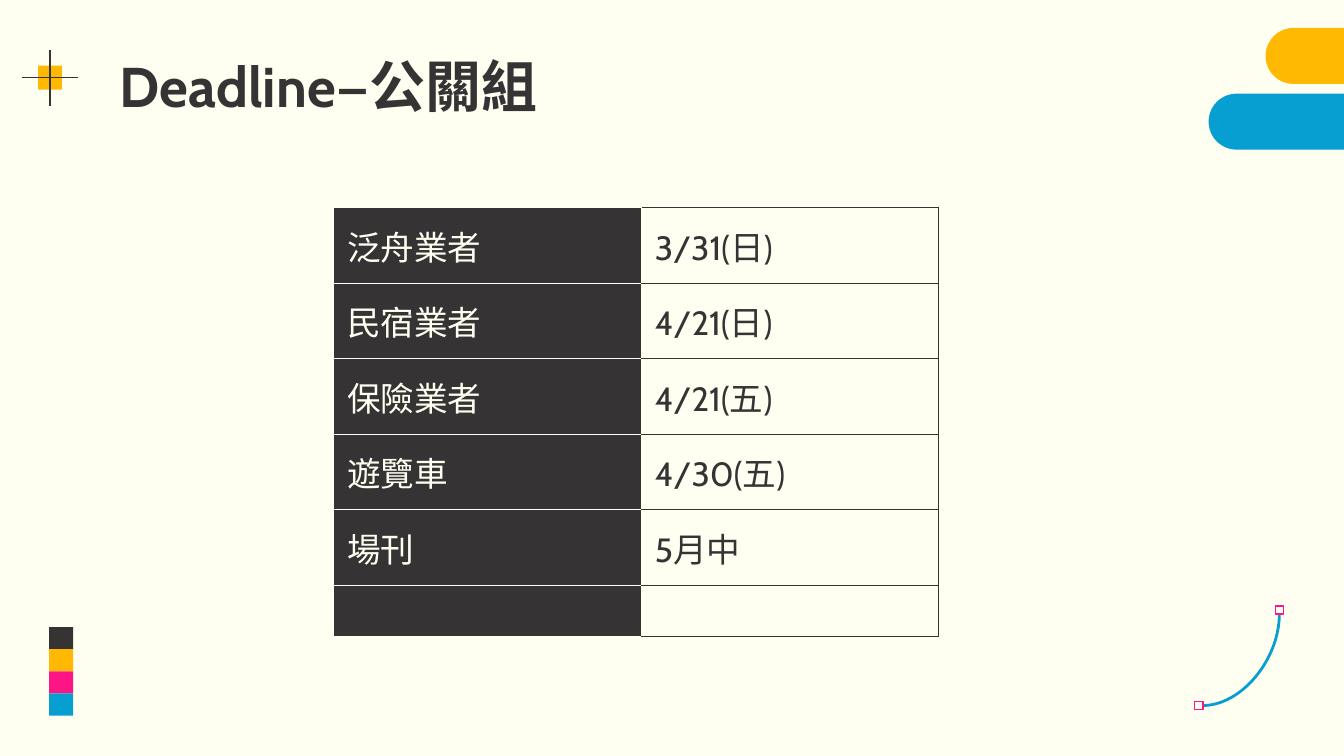
import pptx
import pptx.util
import pptx.dml.color
import pptx.enum.shapes
import pptx.enum.text
import pptx.oxml
import pptx.oxml.ns

Pt = pptx.util.Pt
Kind = pptx.enum.shapes.MSO_SHAPE
Link = pptx.enum.shapes.MSO_CONNECTOR
FONT = "Cabin"
HUES = {"cream": "FFFFF1", "dark": "353334", "gold": "FFB903", "pink": "FD1485", "blue": "079ED2"}
ROWS = [
    ("泛舟業者", "3/31(日)"),
    ("民宿業者", "4/21(日)"),
    ("保險業者", "4/21(五)"),
    ("遊覽車", "4/30(五)"),
    ("場刊", "5月中"),
    ("", ""),
]


def hue(name):
    return pptx.dml.color.RGBColor.from_string(HUES[name])


def paint(fill, name):
    fill.solid()
    fill.fore_color.rgb = hue(name)


def style(frame, size, color, bold=False):
    for part in frame.paragraphs:
        for run in part.runs:
            run.font.name = FONT
            run.font.size = Pt(size)
            run.font.bold = bold
            run.font.color.rgb = hue(color)


def add_box(slide, kind, left, top, width, height, fill=None, line=None):
    box = slide.shapes.add_shape(kind, Pt(left), Pt(top), Pt(width), Pt(height))
    box.shadow.inherit = False
    if fill:
        paint(box.fill, fill)
    else:
        box.fill.background()
    if line:
        box.line.color.rgb = hue(line)
        box.line.width = Pt(0.75)
    else:
        box.line.fill.background()
    return box


def add_line(slide, kind, start, end, color, width):
    line = slide.shapes.add_connector(kind, Pt(start[0]), Pt(start[1]), Pt(end[0]), Pt(end[1]))
    line.line.color.rgb = hue(color)
    line.line.width = Pt(width)
    pptx.oxml.ns.qn("a:effectLst")
    line._element.spPr.append(pptx.oxml.parse_xml(
        f'<a:effectLst {pptx.oxml.ns.nsdecls("a")}/>'))
    return line


def add_edges(cell, colors):
    props = cell._tc.get_or_add_tcPr()
    for spot, (side, color) in enumerate(zip("LRTB", colors)):
        props.insert(spot, pptx.oxml.parse_xml(
            f'<a:ln{side} {pptx.oxml.ns.nsdecls("a")} w="{Pt(0.75)}"><a:solidFill>'
            f'<a:srgbClr val="{HUES[color]}"/></a:solidFill></a:ln{side}>'))


def fill_cell(cell, text, ink, edges):
    cell.text_frame.text = text
    style(cell.text_frame, 18, ink)
    cell.margin_left = cell.margin_right = Pt(7.2)
    cell.margin_top = cell.margin_bottom = Pt(7.2 if text else 0)
    add_edges(cell, edges)


def add_dates(slide):
    frame = slide.shapes.add_table(len(ROWS), 2, Pt(178.7), Pt(111.2), Pt(324), Pt(229.3))
    table = frame.table
    table.first_row = table.horz_banding = False
    table.columns[0].width = Pt(165)
    table.columns[1].width = Pt(159)
    for index, (task, date) in enumerate(ROWS):
        table.rows[index].height = Pt(40.35 if task else 27.6)
        label, value = table.rows[index].cells
        paint(label.fill, "dark")
        value.fill.background()
        fill_cell(label, task, "cream", ["cream"] * 4)
        fill_cell(value, date, "dark", ["cream"] + ["dark"] * 3)


def add_title(slide, text):
    title = slide.shapes.title
    title.left, title.top, title.width, title.height = Pt(56.9), Pt(20.2), Pt(607), Pt(45.4)
    frame = title.text_frame
    frame.text = text
    frame.word_wrap = True
    frame.auto_size = pptx.enum.text.MSO_AUTO_SIZE.NONE
    frame.vertical_anchor = pptx.enum.text.MSO_ANCHOR.TOP
    frame.margin_left = frame.margin_right = Pt(7.2)
    frame.margin_top = frame.margin_bottom = Pt(7.2)
    frame.paragraphs[0].alignment = pptx.enum.text.PP_ALIGN.LEFT
    style(frame, 30, "dark", True)


def add_curve(slide):
    start, end = (644.4, 378), (685.4, 329)
    curve = add_line(slide, Link.CURVE, start, end, "blue", 1.5)
    curve._element.spPr.prstGeom.set("prst", "curvedConnector2")
    for left, top in ((640, 375.8), (683.2, 324.6)):
        add_box(slide, Kind.RECTANGLE, left, top, 4.4, 4.4, line="pink")


def add_cross(slide):
    x, y, arm = 26.8, 41.6, 15
    add_box(slide, Kind.RECTANGLE, x - 6.4, y - 6.4, 12.8, 12.8, "gold")
    add_line(slide, Link.STRAIGHT, (x, y - arm), (x, y + arm), "dark", 0.75)
    add_line(slide, Link.STRAIGHT, (x + arm, y), (x - arm, y), "dark", 0.75)


def add_pills(slide):
    for left, top, color in ((678, 15, "gold"), (647.5, 50.2, "blue")):
        pill = add_box(slide, Kind.ROUNDED_RECTANGLE, left, top, 119, 30, color)
        pill.adjustments[0] = 0.5


def add_stack(slide):
    for index, color in enumerate(("dark", "gold", "pink", "blue")):
        add_box(slide, Kind.RECTANGLE, 26.4, 336 + index * 11.85, 12.8, 11.85, color)


def main():
    deck = pptx.Presentation()
    deck.slide_width, deck.slide_height = Pt(720), Pt(405)
    slide = deck.slides.add_slide(deck.slide_layouts[5])
    paint(slide.background.fill, "cream")
    add_curve(slide)
    add_cross(slide)
    add_pills(slide)
    add_stack(slide)
    add_title(slide, "Deadline—公關組")
    add_dates(slide)
    deck.save("out.pptx")


if __name__ == "__main__":
    main()
